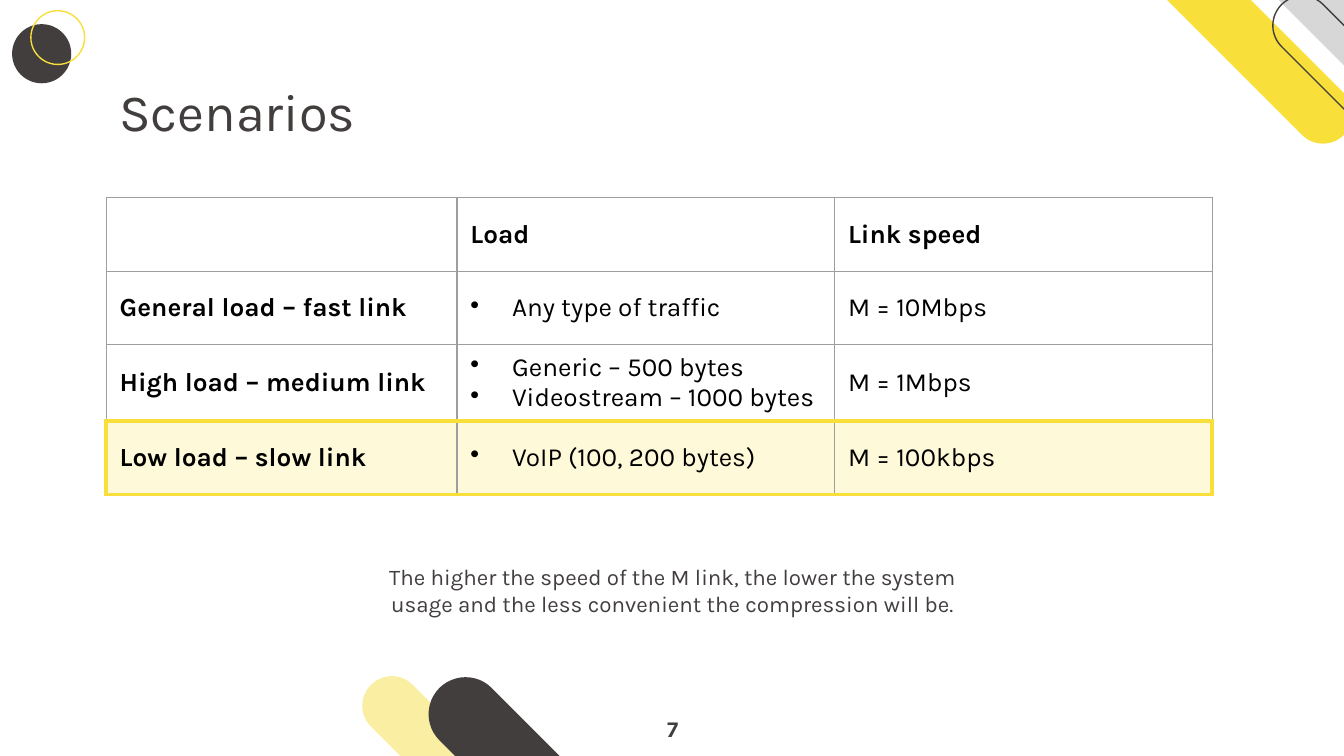
from lxml.etree import SubElement
from pptx import Presentation
from pptx.dml.color import RGBColor
from pptx.enum.shapes import MSO_SHAPE
from pptx.enum.text import MSO_ANCHOR, PP_ALIGN
from pptx.oxml.ns import qn
from pptx.util import Inches, Pt

FONT = "Karla"
BLACK = RGBColor(0x00, 0x00, 0x00)
DARK = RGBColor(0x42, 0x3E, 0x3E)
YELLOW = RGBColor(0xF8, 0xDF, 0x3A)
PALE_YELLOW = RGBColor(0xFA, 0xEE, 0xA2)
CREAM = RGBColor(0xFE, 0xF9, 0xD8)
LIGHT_GRAY = RGBColor(0xD7, 0xD7, 0xD7)
BORDER_GRAY = RGBColor(0x9E, 0x9E, 0x9E)

# Content: load cells are lists because they are bulleted
TITLE = "Scenarios"
HEADER = ("", "Load", "Link speed")
SCENARIOS = [
    ("General load – fast link", ["Any type of traffic"], "M = 10Mbps"),
    ("High load – medium link",
     ["Generic – 500 bytes", "Videostream – 1000 bytes"], "M = 1Mbps"),
    ("Low load – slow link", ["VoIP (100, 200 bytes)"], "M = 100kbps"),
]
CONCLUSION = ("The higher the speed of the M link, the lower the system usage "
              "and the less convenient the compression will be.")
PAGE_NUMBER = "7"

# Decoration: shape, left, top, width, height, rotation, fill, outline
PILL, CIRCLE = MSO_SHAPE.ROUNDED_RECTANGLE, MSO_SHAPE.OVAL
DECORATION = [
    (PILL, 2.44, 5.65, 2.19, 0.44, 225, PALE_YELLOW, None),
    (PILL, 8.88, -0.07, 2.19, 0.44, 45, LIGHT_GRAY, None),
    (PILL, 8.13, 0.01, 2.19, 0.44, 45, YELLOW, None),
    (PILL, 2.87, 5.81, 2.73, 0.55, 45, DARK, None),
    (CIRCLE, 0.09, 0.18, 0.44, 0.44, 0, DARK, None),
    (CIRCLE, 0.23, 0.08, 0.4, 0.4, 0, None, YELLOW),
    (PILL, 9.28, 0.43, 1.74, 0.44, 45, None, DARK),
]

# Table grid
TABLE_LEFT, TABLE_TOP, TABLE_HEIGHT = 0.79, 1.47, 2.19
COLUMN_WIDTHS = (2.61, 2.81, 2.81)
BULLET_INDENT = Inches(0.31)


def add_span(para, text, size, color, bold=False):
    span = para.add_run()
    span.text = text
    span.font.name = FONT
    span.font.size = Pt(size)
    span.font.bold = bold
    span.font.color.rgb = color


def add_text(page, text, left, top, width, height, size,
             align=PP_ALIGN.LEFT, bold=False):
    box = page.shapes.add_textbox(*map(Inches, (left, top, width, height)))
    frame = box.text_frame
    frame.word_wrap = True
    frame.margin_left = frame.margin_right = Inches(0.1)
    frame.margin_top = frame.margin_bottom = Inches(0.1)
    para = frame.paragraphs[0]
    para.alignment = align
    add_span(para, text, size, DARK, bold)


def add_decoration(page, kind, left, top, width, height, turn, fill, outline):
    shape = page.shapes.add_shape(
        kind, *map(Inches, (left, top, width, height)))
    shape.rotation = turn
    shape.shadow.inherit = False
    if kind == PILL:
        shape.adjustments[0] = 0.5
    if fill is None:
        shape.fill.background()
    else:
        shape.fill.solid()
        shape.fill.fore_color.rgb = fill
    if outline is None:
        shape.line.fill.background()
    else:
        shape.line.color.rgb = outline
        shape.line.width = Pt(0.75)


def add_bullet(para):
    properties = para._p.get_or_add_pPr()
    properties.set("marL", str(BULLET_INDENT))
    properties.set("indent", str(-BULLET_INDENT))
    color = SubElement(properties, qn("a:buClr"))
    SubElement(color, qn("a:srgbClr"), val=str(BLACK))
    SubElement(properties, qn("a:buChar"), char="•")


def set_borders(cell, highlighted):
    """Draw gray sides, and yellow ones where named in highlighted."""
    properties = cell._tc.get_or_add_tcPr()
    for side in "LRTB":
        color, width = (YELLOW, 2.25) if side in highlighted else (BORDER_GRAY, 0.75)
        line = SubElement(properties, qn(f"a:ln{side}"), w=str(Pt(width)))
        fill = SubElement(line, qn("a:solidFill"))
        SubElement(fill, qn("a:srgbClr"), val=str(color))


def fill_cell(cell, content, bold):
    cell.vertical_anchor = MSO_ANCHOR.MIDDLE
    bulleted = isinstance(content, list)
    for index, text in enumerate(content if bulleted else [content]):
        frame = cell.text_frame
        para = frame.add_paragraph() if index else frame.paragraphs[0]
        if bulleted:
            add_bullet(para)
        if text:
            add_span(para, text, 14, BLACK, bold)


def add_scenarios(page):
    rows = [HEADER] + SCENARIOS
    last_row, last_column = len(rows) - 1, len(HEADER) - 1
    table = page.shapes.add_table(
        len(rows), len(HEADER), Inches(TABLE_LEFT), Inches(TABLE_TOP),
        Inches(sum(COLUMN_WIDTHS)), Inches(TABLE_HEIGHT)).table
    table.first_row = table.horz_banding = False
    for column, width in zip(table.columns, COLUMN_WIDTHS):
        column.width = Inches(width)
    for r, row in enumerate(rows):
        for c, content in enumerate(row):
            cell = table.cell(r, c)
            fill_cell(cell, content, bold=r == 0 or c == 0)
            # The last row is framed in yellow
            highlighted = "B" if r == last_row - 1 else ""
            if r == last_row:
                highlighted = "TB" + {0: "L", last_column: "R"}.get(c, "")
            set_borders(cell, highlighted)
            if r == last_row:
                cell.fill.solid()
                cell.fill.fore_color.rgb = CREAM
            else:
                cell.fill.background()


def main():
    deck = Presentation()
    deck.slide_width, deck.slide_height = Inches(10), Inches(5.625)
    page = deck.slides.add_slide(deck.slide_layouts[6])
    for part in DECORATION:
        add_decoration(page, *part)
    add_text(page, TITLE, 0.79, 0.49, 8.43, 0.63, 28)
    add_text(page, PAGE_NUMBER, 4.36, 5.22, 1.29, 0.39, 12,
             PP_ALIGN.CENTER, bold=True)
    add_scenarios(page)
    add_text(page, CONCLUSION, 2.64, 4.09, 4.73, 0.57, 12, PP_ALIGN.CENTER)
    deck.save("out.pptx")


if __name__ == "__main__":
    main()
